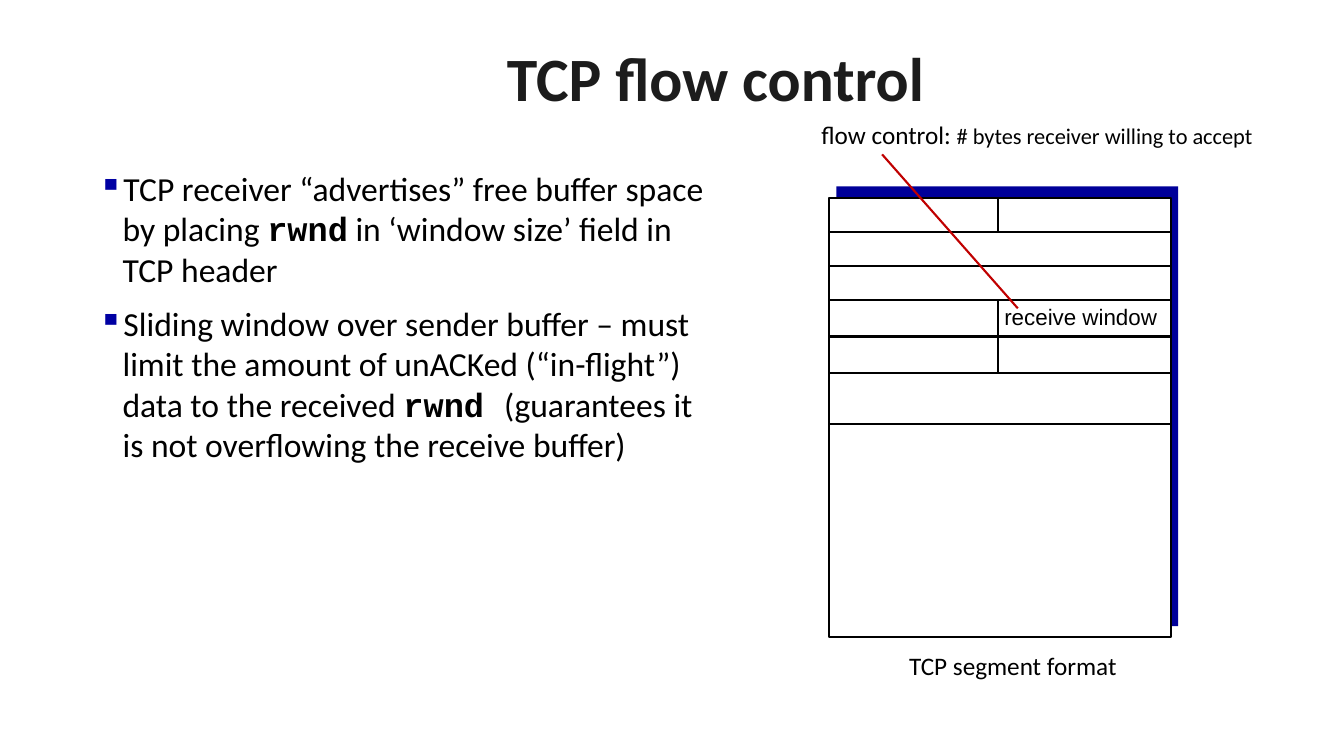
from lxml.etree import SubElement
from pptx import Presentation
from pptx.dml.color import RGBColor
from pptx.enum.shapes import MSO_CONNECTOR, MSO_SHAPE
from pptx.enum.text import MSO_ANCHOR, PP_ALIGN
from pptx.oxml.ns import qn
from pptx.util import Cm, Pt

COLORS = {
    "text": "000000",
    "title": "1C1C1C",
    "bullet": "0000A3",
    "backdrop": "000099",
    "paper": "FFFFFF",
    "pointer": "C00000",
}

deck = Presentation()
deck.slide_width, deck.slide_height = Cm(33.87), Cm(19.05)
page = deck.slides.add_slide(deck.slide_layouts[6])


def add_line(x1, y1, x2, y2, color="text"):
    line = page.shapes.add_connector(
        MSO_CONNECTOR.STRAIGHT, Cm(x1), Cm(y1), Cm(x2), Cm(y2))
    line.line.color.rgb = RGBColor.from_string(COLORS[color])
    line.line.width = Pt(1.5)
    SubElement(line._element.spPr, qn("a:effectLst"))


def add_label(left, top, width, height, spans, font="Calibri", color="text",
              bold=False, spacing=0.9, align=PP_ALIGN.LEFT):
    """Add a one-paragraph text box from (text, size) spans."""
    box = page.shapes.add_textbox(Cm(left), Cm(top), Cm(width), Cm(height))
    box.text_frame.word_wrap = True
    para = box.text_frame.paragraphs[0]
    para.alignment, para.line_spacing = align, spacing
    para.font.name, para.font.bold = font, bold
    para.font.color.rgb = RGBColor.from_string(COLORS[color])
    for text, size in spans:
        span = para.add_run()
        span.text, span.font.size = text, Pt(size)
    return box


# Title
title = add_label(2.21, 0.81, 31.65, 2.49, [("TCP flow control", 44)],
                  color="title", bold=True, align=PP_ALIGN.CENTER)
title.text_frame.vertical_anchor = MSO_ANCHOR.MIDDLE

# Bulleted text: (text, is code)
bullets = [
    [("TCP receiver “advertises” free buffer space by placing ", False),
     ("rwnd", True),
     (" in ‘window size’ field in TCP header", False)],
    [("Sliding window over sender buffer – must limit the amount of unACKed "
      "(“in-flight”) data to the received ", False),
     ("rwnd ", True),
     ("(guarantees it is not overflowing the receive buffer)", False)],
]
body = page.shapes.add_textbox(Cm(1.85), Cm(4.11), Cm(16.18), Cm(13.64)).text_frame
body.word_wrap = True
for index, spans in enumerate(bullets):
    para = body.add_paragraph() if index else body.paragraphs[0]
    properties = para._p.get_or_add_pPr()
    properties.set("marL", str(Cm(0.99)))
    properties.set("indent", str(Cm(-0.61)))
    bullet_color = SubElement(properties, qn("a:buClr"))
    SubElement(bullet_color, qn("a:srgbClr"), val=COLORS["bullet"])
    SubElement(properties, qn("a:buChar"), char="▪")
    para.space_before = Pt(10 if index else 0)
    para.font.size = Pt(24)
    para.font.color.rgb = RGBColor.from_string(COLORS["text"])
    for text, is_code in spans:
        span = para.add_run()
        span.text = text
        span.font.name = "Courier New" if is_code else "Calibri"
        span.font.bold = is_code

# Segment diagram
left, top, width, height = 20.9, 4.98, 8.61, 11.08
middle = 25.16
for x, y, fill, outlined in [(left + 0.18, top - 0.28, "backdrop", False),
                             (left, top, "paper", True)]:
    sheet = page.shapes.add_shape(
        MSO_SHAPE.RECTANGLE, Cm(x), Cm(y), Cm(width), Cm(height))
    sheet.shadow.inherit = False
    sheet.fill.solid()
    sheet.fill.fore_color.rgb = RGBColor.from_string(COLORS[fill])
    if outlined:
        sheet.line.color.rgb = RGBColor.from_string(COLORS["text"])
        sheet.line.width = Pt(1.5)
    else:
        sheet.line.fill.background()

row_lines = [5.84, 6.71, 7.57, 8.48, 9.4, 10.69]
for y in row_lines:
    add_line(left, y, left + width, y)
add_line(middle, top, middle, row_lines[0])
add_line(middle, row_lines[2], middle, row_lines[4])

field = add_label(25.04, 7.52, 4.39, 0.94, [("receive window", 16)],
                  font="Arial", spacing=1.0, align=PP_ALIGN.CENTER)
field.text_frame.word_wrap = False
add_line(25.65, 7.77, 22.23, 3.89, "pointer")
add_label(20.45, 2.97, 12.09, 0.94,
          [("flow control: ", 18), ("# bytes receiver willing to accept", 16)])
add_label(22.66, 16.36, 6.43, 0.94, [("TCP segment format", 18)])

deck.save("out.pptx")
